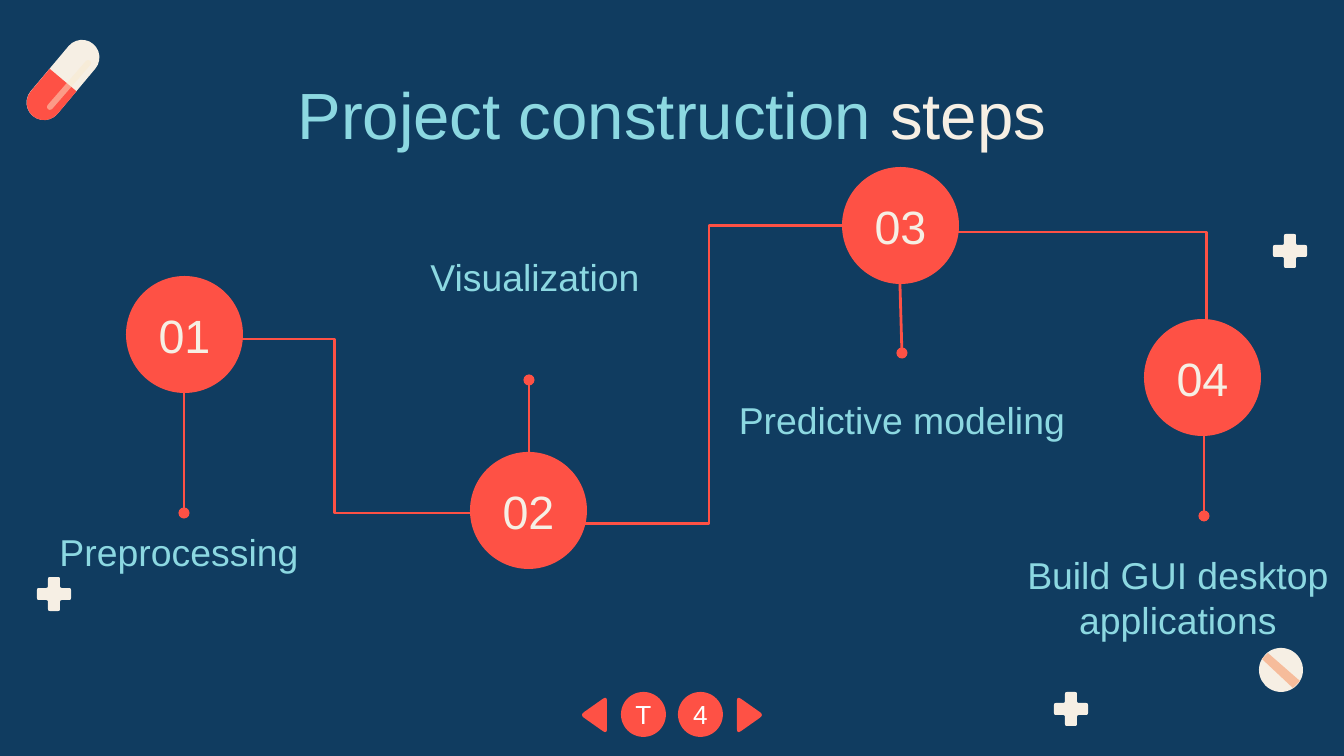
from dataclasses import dataclass

from lxml import etree
from pptx import Presentation
from pptx.dml.color import RGBColor
from pptx.enum.shapes import MSO_CONNECTOR, MSO_SHAPE
from pptx.enum.text import MSO_ANCHOR, PP_ALIGN
from pptx.oxml.ns import qn
from pptx.util import Pt

PX = 914400 / 134.4
WIDE, HIGH = 1344, 756
OVAL, PILL, DOME = MSO_SHAPE.OVAL, MSO_SHAPE.ROUNDED_RECTANGLE, MSO_SHAPE.ROUND_2_SAME_RECTANGLE
LINE, ELBOW = MSO_CONNECTOR.STRAIGHT, MSO_CONNECTOR.ELBOW
TOP, MIDDLE = MSO_ANCHOR.TOP, MSO_ANCHOR.MIDDLE
CENTER = PP_ALIGN.CENTER


@dataclass(frozen=True)
class Theme:
    font: str = "Arial"
    navy: str = "103C60"
    coral: str = "FE5145"
    cream: str = "F6EFE4"
    aqua: str = "8CD8E1"
    peach: str = "F6BC9B"
    shine: str = "FAE9CD"
    white: str = "FFFFFF"
    title: int = 35
    number: int = 25
    label: int = 20
    nav: int = 14
    stroke: float = 1.5


THEME = Theme()
DISC = 117  # diameter of a step circle

# number, label, circle left and top, label box, stem from circle to dot
STEPS = [
    ("01", "Preprocessing", (126, 276), (4, 513, 350, 78), (184, 393, 184, 513)),
    ("02", "Visualization", (470, 452), (313, 218, 444, 117), (529, 452, 529, 380)),
    ("03", "Predictive modeling", (842, 167), (723, 353, 358, 134), (900, 284, 902, 353)),
    ("04", "Build GUI desktop applications", (1144, 319), (1012, 530, 332, 134),
     (1204, 409, 1204, 516)),
]
# ends of each link, and where along its width it turns
LINKS = [
    ((153, 339, 516, 513), 0.5),
    ((554, 524, 864, 226), 0.5),
    ((943, 232, 1236, 336), 0.9),
]
CROSSES = [(1290, 251), (1071, 709), (54, 594)]


def px(*vals):
    return [round(v * PX) for v in vals]


def rgb(tone):
    return RGBColor.from_string(tone)


def paint(shape, tone):
    shape.shadow.inherit = False
    shape.fill.solid()
    shape.fill.fore_color.rgb = rgb(tone)
    shape.line.fill.background()
    return shape


def write(shape, runs, size, anchor=MIDDLE, inset=(13, 13, 13, 13)):
    """Fill a shape with one centred paragraph of (text, colour) runs."""
    frame = shape.text_frame
    frame.word_wrap = True
    frame.vertical_anchor = anchor
    (frame.margin_left, frame.margin_top,
     frame.margin_right, frame.margin_bottom) = px(*inset)
    para = frame.paragraphs[0]
    para.alignment = CENTER
    for text, tone in runs:
        run = para.add_run()
        run.text = text
        run.font.name = THEME.font
        run.font.size = Pt(size)
        run.font.color.rgb = rgb(tone)


def add_text(slide, box, runs, size, **opts):
    write(slide.shapes.add_textbox(*px(*box)), runs, size, **opts)


def add_disc(slide, box, text, tone, size):
    disc = paint(slide.shapes.add_shape(OVAL, *px(*box)), THEME.coral)
    write(disc, [(text, tone)], size, inset=(0, 13, 0, 13))


def add_line(slide, kind, ends, head=None, tail=None, turn=None):
    link = slide.shapes.add_connector(kind, *px(*ends))
    link.line.color.rgb = rgb(THEME.coral)
    link.line.width = Pt(THEME.stroke)
    props = link._element.spPr
    stroke = props.find(qn("a:ln"))
    for tag, end in (("a:headEnd", head), ("a:tailEnd", tail)):
        if end:
            etree.SubElement(stroke, qn(tag), type=end)
    etree.SubElement(props, qn("a:effectLst"))
    if turn:
        guides = props.find(qn("a:prstGeom")).get_or_add_avLst()
        etree.SubElement(guides, qn("a:gd"), name="adj1", fmla=f"val {round(turn * 100000)}")


def soften(points, cut):
    """Replace each corner by a short quadratic curve starting cut px away."""
    out = []
    for i, (x, y) in enumerate(points):
        near = []
        for a, b in (points[i - 1], points[(i + 1) % len(points)]):
            part = cut / ((a - x) ** 2 + (b - y) ** 2) ** 0.5
            near.append((x + (a - x) * part, y + (b - y) * part))
        (ax, ay), (bx, by) = near
        for t in (0, 0.25, 0.5, 0.75, 1):
            p, q, r = (1 - t) ** 2, 2 * t * (1 - t), t * t
            out.append((p * ax + q * x + r * bx, p * ay + q * y + r * by))
    return out


def add_path(slide, points, tone, cut=0):
    spots = [px(*spot) for spot in (soften(points, cut) if cut else points)]
    pen = slide.shapes.build_freeform(*spots[0])
    pen.add_line_segments(spots[1:], close=True)
    paint(pen.convert_to_shape(), tone)


def add_cross(slide, x, y):
    arm, half = 17, 6
    side = [(-half, -arm), (half, -arm), (half, -half)]
    points = []
    for _ in range(4):
        points += [(x + a, y + b) for a, b in side]
        side = [(-b, a) for a, b in side]
    add_path(slide, points, THEME.cream, cut=2)


def add_bar(slide, kind, mid, size, angle, tone):
    """Add a fully rounded bar, turned about its middle."""
    (x, y), (w, h) = mid, size
    bar = slide.shapes.add_shape(kind, *px(x - w / 2, y - h / 2, w, h))
    bar.adjustments[0] = 0.5
    bar.rotation = angle
    return paint(bar, tone)


def add_pill(slide):
    add_bar(slide, PILL, (63, 80), (35, 94), 40, THEME.cream)
    add_bar(slide, DOME, (48, 98), (35, 47), 220, THEME.coral)
    shine = add_bar(slide, PILL, (69, 85), (6, 64), 41, THEME.shine)
    tone = shine._element.spPr.find(qn("a:solidFill"))[0]
    etree.SubElement(tone, qn("a:alpha"), val="49000")


def add_tablet(slide):
    paint(slide.shapes.add_shape(OVAL, *px(1259, 648, 44, 44)), THEME.cream)
    add_path(slide, [(1293, 688), (1262, 659), (1268, 653), (1300, 681)], THEME.peach)


def add_nav(slide):
    for x, text in ((621, "T"), (678, "4")):
        add_disc(slide, (x, 692, 45, 45), text, THEME.white, THEME.nav)
    arrow = [(737, 696), (764, 715), (737, 734)]
    add_path(slide, arrow, THEME.coral, cut=5)
    add_path(slide, [(WIDE - x, y) for x, y in arrow], THEME.coral, cut=5)


def add_step(slide, number, label, spot, box, stem):
    add_text(slide, box, [(label, THEME.aqua)], THEME.label)
    add_disc(slide, (*spot, DISC, DISC), number, THEME.cream, THEME.number)
    add_line(slide, LINE, stem, tail="oval")


def main():
    deck = Presentation()
    deck.slide_width, deck.slide_height = px(WIDE, HIGH)
    slide = deck.slides.add_slide(deck.slide_layouts[6])
    slide.background.fill.solid()
    slide.background.fill.fore_color.rgb = rgb(THEME.navy)

    for spot in CROSSES:
        add_cross(slide, *spot)
    add_tablet(slide)
    add_pill(slide)
    title = [("Project construction ", THEME.aqua), ("steps", THEME.cream)]
    add_text(slide, (105, 54, 1134, 85), title, THEME.title, anchor=TOP, inset=(13, 20, 13, 0))
    add_nav(slide)
    for ends, turn in LINKS:
        add_line(slide, ELBOW, ends, head="oval", tail="triangle", turn=turn)
    for step in STEPS:
        add_step(slide, *step)
    deck.save("out.pptx")


if __name__ == "__main__":
    main()
